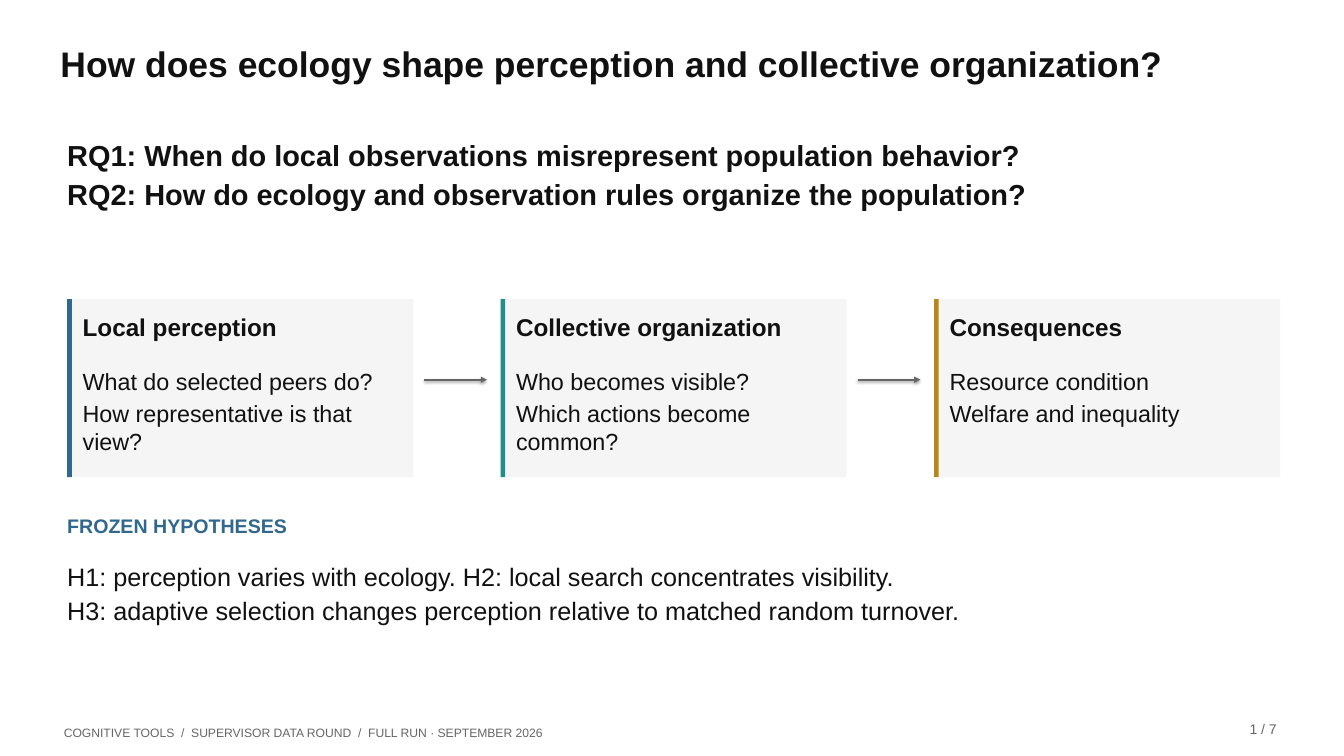
"""Build the research questions slide: two questions, three linked cards and the hypotheses."""
from lxml import etree
from pptx import Presentation
from pptx.dml.color import RGBColor
from pptx.enum.shapes import MSO_CONNECTOR as CONN, MSO_SHAPE as SHAPE
from pptx.enum.text import MSO_AUTO_SIZE as AUTO, PP_ALIGN as ALIGN
from pptx.oxml.ns import qn
from pptx.util import Pt

INK, GRAY, PANEL = "111111", "666666", "F5F5F5"
BLUE, TEAL, GOLD = "31688E", "218F8D", "B88718"


def rgb(value):
    return RGBColor.from_string(value)


class Deck:
    font = "Arial"
    space_after = 4

    def __init__(self, slide):
        self.s = slide

    def text(self, x, y, w, h, lines, size, color=INK, bold=False, align=ALIGN.LEFT):
        tf = self.s.shapes.add_textbox(Pt(x), Pt(y), Pt(w), Pt(h)).text_frame
        tf.word_wrap = True
        tf.auto_size = AUTO.SHAPE_TO_FIT_TEXT
        tf.margin_left = tf.margin_top = tf.margin_right = tf.margin_bottom = 0
        for i, line in enumerate(lines):
            p = tf.add_paragraph() if i else tf.paragraphs[0]
            p.text = line
            p.alignment = align
            p.space_after = Pt(self.space_after)
            p.font.name, p.font.size, p.font.bold = self.font, Pt(size), bold
            p.font.color.rgb = rgb(color)

    def rect(self, x, y, w, h, color):
        sp = self.s.shapes.add_shape(SHAPE.RECTANGLE, Pt(x), Pt(y), Pt(w), Pt(h))
        sp.shadow.inherit = False
        sp.fill.solid()
        sp.fill.fore_color.rgb = rgb(color)
        sp.line.fill.background()

    def card(self, x, y, w, h, color, title, lines):
        self.rect(x, y, w, h, PANEL)
        self.rect(x, y, 5, h, color)
        self.text(x + 16.56, y + 14.4, 338.4, 50.4, [title], 26, bold=True)
        self.text(x + 16.56, y + 73.44, 338.4, 109.44, lines, 25)

    def arrow(self, x1, x2, y):
        c = self.s.shapes.add_connector(CONN.STRAIGHT, Pt(x1), Pt(y), Pt(x2), Pt(y))
        c.line.color.rgb = rgb(GRAY)
        c.line.width = Pt(2.2)
        etree.SubElement(c.line._get_or_add_ln(), qn("a:tailEnd"), type="triangle")


def main():
    prs = Presentation()
    prs.slide_width, prs.slide_height = Pt(1440), Pt(810)
    d = Deck(prs.slides.add_slide(prs.slide_layouts[6]))

    d.text(64.8, 45.36, 1306.8, 68.4,
           ["How does ecology shape perception and collective organization?"], 38, bold=True)
    d.text(68.4, 776.88, 1080, 20.16,
           ["COGNITIVE TOOLS  /  SUPERVISOR DATA ROUND  /  FULL RUN · SEPTEMBER 2026"], 13, GRAY)
    d.text(1296, 771.84, 72, 25.2, ["1 / 7"], 15, GRAY, align=ALIGN.RIGHT)
    d.text(72, 147.6, 1281.6, 115.2,
           ["RQ1: When do local observations misrepresent population behavior?",
            "RQ2: How do ecology and observation rules organize the population?"], 31, bold=True)

    cards = [
        (BLUE, "Local perception",
         ["What do selected peers do?", "How representative is that view?"]),
        (TEAL, "Collective organization",
         ["Who becomes visible?", "Which actions become common?"]),
        (GOLD, "Consequences", ["Resource condition", "Welfare and inequality"]),
    ]
    left, step, width = 72, 464.4, 370.8
    for i, (color, title, lines) in enumerate(cards):
        d.card(left + i * step, 320.4, width, 190.8, color, title, lines)
    for i in range(len(cards) - 1):
        edge = left + i * step + width
        d.arrow(edge + 12, edge + 79, 406.8)

    d.text(72, 550.8, 432, 43.2, ["FROZEN HYPOTHESES"], 21, BLUE, bold=True)
    d.text(72, 601.2, 1296, 97.2,
           ["H1: perception varies with ecology. H2: local search concentrates visibility.",
            "H3: adaptive selection changes perception relative to matched random turnover."], 27)
    prs.save("out.pptx")


if __name__ == "__main__":
    main()
